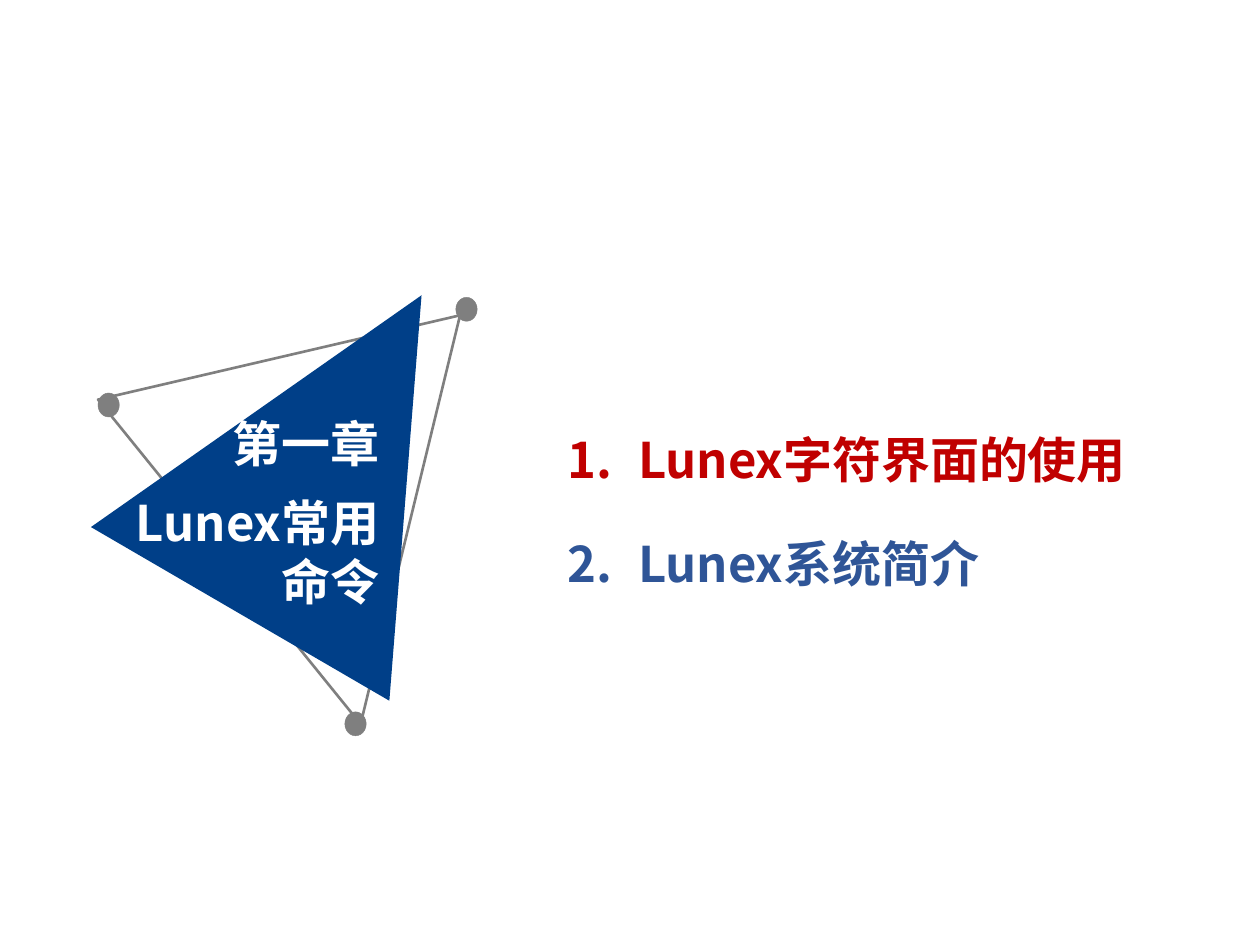
from pptx import Presentation
from pptx.dml.color import RGBColor
from pptx.enum.shapes import MSO_SHAPE as Kind
from pptx.enum.text import MSO_AUTO_SIZE as Fit, PP_ALIGN as Align
from pptx.oxml.ns import qn
from pptx.util import Pt

FACE = "Noto Sans CJK SC"
GREY = "7F7F7F"
BLUE = "003F88"


def tint(fmt, hue):
    fmt.solid()
    fmt.fore_color.rgb = RGBColor.from_string(hue)


def place(pool, kind, box, fill=None, line=None, turn=0, peak=None):
    shape = pool.add_shape(kind, *map(Pt, box))
    shape.shadow.inherit = False
    shape.rotation = turn
    if peak is not None:
        shape.adjustments[0] = peak
    if fill:
        tint(shape.fill, fill)
    else:
        shape.fill.background()
    if line:
        tint(shape.line.fill, GREY)
        shape.line.width = Pt(line)
    else:
        shape.line.fill.background()


def write(pool, box, rows, form):
    frame = pool.add_textbox(*map(Pt, box)).text_frame
    frame.word_wrap = True
    frame.auto_size = Fit.SHAPE_TO_FIT_TEXT
    for i, (text, hue) in enumerate(rows):
        para = frame.paragraphs[0] if i == 0 else frame.add_paragraph()
        for key, val in form.items():
            setattr(para, key, val)
        run = para.add_run()
        run.text = text
        for key, val in {"name": FACE, "size": Pt(28), "bold": True}.items():
            setattr(run.font, key, val)
        tint(run.font.fill, hue)
        props = run._r.get_or_add_rPr()
        east = props.makeelement(qn("a:ea"), {"typeface": FACE})
        props.find(qn("a:latin")).addnext(east)
    return frame


def badge(slide, x, y):
    pool = slide.shapes.add_group_shape().shapes
    place(pool, Kind.ISOSCELES_TRIANGLE, (x + 21.6, y + 46, 212.4, 214.6),
          line=1.5, turn=166.9, peak=0.51)
    place(pool, Kind.ISOSCELES_TRIANGLE, (x + 35.3, y, 197.3, 209.5),
          fill=BLUE, turn=30.2, peak=0.49)
    for dx, dy in ((0, 69.1), (204.5, 14.4), (141.1, 251.3)):
        place(pool, Kind.OVAL, (x + dx, y + dy, 12.2, 13.7), GREY, 0.25)
    form = {"alignment": Align.RIGHT, "space_before": Pt(6),
            "space_after": Pt(6)}
    rows = [("第一章", "FFFFFF"), ("Lunex常用命令", "FFFFFF")]
    write(pool, (x + 5, y + 77, 162.7, 121), rows, form)


def topics(slide, box):
    form = {"line_spacing": 1.5, "space_before": Pt(4.5),
            "space_after": Pt(4.5)}
    rows = [("Lunex字符界面的使用", "C00000"), ("Lunex系统简介", "2F5597")]
    for para in write(slide.shapes, box, rows, form).paragraphs:
        props = para._p.get_or_add_pPr()
        props.set("marL", str(Pt(40.5)))
        props.set("indent", str(-Pt(40.5)))
        font = props.makeelement(qn("a:buFont"), {"typeface": "+mj-lt"})
        mark = props.makeelement(qn("a:buAutoNum"), {"type": "arabicPeriod"})
        props.extend([font, mark])


def main():
    deck = Presentation()
    deck.slide_width, deck.slide_height = Pt(720), Pt(540)
    slide = deck.slides.add_slide(deck.slide_layouts[6])
    tint(slide.background.fill, "FFFFFF")
    topics(slide, (317, 225, 381, 113))
    badge(slide, 56, 155.5)
    deck.save("out.pptx")


if __name__ == "__main__":
    main()
